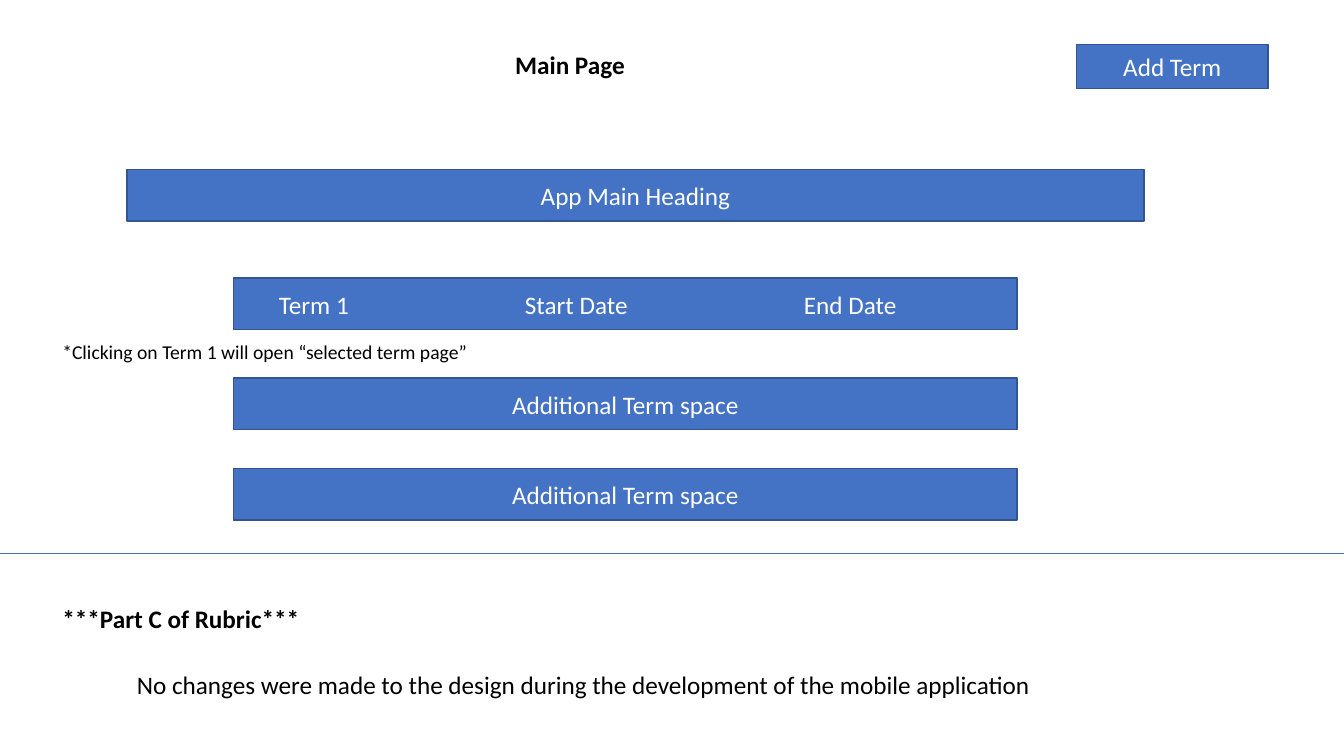
from collections import namedtuple

from lxml.etree import SubElement
from pptx import Presentation
from pptx.dml.color import RGBColor
from pptx.enum.shapes import MSO_CONNECTOR, MSO_SHAPE
from pptx.enum.text import MSO_ANCHOR, MSO_AUTO_SIZE, PP_ALIGN
from pptx.oxml.ns import qn
from pptx.util import Cm, Pt

COLORS = {"bar": "4472C4", "edge": "325491", "light": "FFFFFF", "dark": "000000"}
FONT = "Calibri"
PAGE_WIDTH, PAGE_HEIGHT = 33.87, 19.05
BAR_HEIGHT = 1.3
TEXT_HEIGHT = 1.02

Box = namedtuple("Box", "left top width height")


def color(name):
    return RGBColor.from_string(COLORS[name])


def lengths(box):
    return [Cm(value) for value in box]


def write(frame, text, color_name, size=18, bold=False, align=PP_ALIGN.LEFT):
    frame.text = text
    para = frame.paragraphs[0]
    para.alignment = align
    for span in para.runs:
        span.font.name = FONT
        span.font.size = Pt(size)
        span.font.bold = bold
        span.font.color.rgb = color(color_name)


def add_bar(page, box, text, align=PP_ALIGN.CENTER):
    bar = page.shapes.add_shape(MSO_SHAPE.RECTANGLE, *lengths(box))
    bar.shadow.inherit = False
    bar.fill.solid()
    bar.fill.fore_color.rgb = color("bar")
    bar.line.color.rgb = color("edge")
    bar.line.width = Pt(1)
    bar.text_frame.word_wrap = True
    bar.text_frame.vertical_anchor = MSO_ANCHOR.MIDDLE
    write(bar.text_frame, text, "light", align=align)
    return bar


def add_label(page, box, text, wrap=True, **style):
    frame = page.shapes.add_textbox(*lengths(box)).text_frame
    frame.word_wrap = wrap
    frame.auto_size = MSO_AUTO_SIZE.SHAPE_TO_FIT_TEXT
    write(frame, text, "dark", **style)


def add_column_bar(page, box, columns, indent, stops):
    bar = add_bar(page, box, "\t".join(columns), PP_ALIGN.LEFT)
    bar.text_frame.margin_left = Cm(indent)
    properties = bar.text_frame.paragraphs[0]._p.get_or_add_pPr()
    tabs = SubElement(properties, qn("a:tabLst"))
    for stop in stops:
        SubElement(tabs, qn("a:tab"), pos=str(Cm(stop)), algn="l")


def add_header(page, box):
    add_label(page, Box(box.left, box.top, 20.09, TEXT_HEIGHT), "Main Page",
              bold=True, align=PP_ALIGN.CENTER)
    button_width = 4.83
    button_left = box.left + box.width - button_width
    add_bar(page, Box(button_left, box.top, button_width, box.height), "Add Term")


def add_term_list(page, box):
    add_bar(page, Box(box.left, box.top, box.width, BAR_HEIGHT), "App Main Heading")
    term = Box(box.left + 2.69, box.top + 2.74, 19.74, BAR_HEIGHT)
    add_column_bar(page, term, ["Term 1", "Start Date", "End Date"], 1.14, [6.2, 13.23])
    add_label(page, Box(box.left - 1.88, term.top + 1.42, 16, 0.86),
              "*Clicking on Term 1 will open “selected term page”", size=14)
    pitch = 2.28
    first_top = box.top + box.height - BAR_HEIGHT - pitch
    for row in range(2):
        add_bar(page, term._replace(top=first_top + row * pitch), "Additional Term space")


def add_divider(page, top):
    line = page.shapes.add_connector(
        MSO_CONNECTOR.STRAIGHT, Cm(PAGE_WIDTH), Cm(top), Cm(0), Cm(top))
    line.line.color.rgb = color("bar")
    line.line.width = Pt(0.5)
    SubElement(line._element.spPr, qn("a:effectLst"))


def add_rubric(page, box):
    add_label(page, Box(box.left, box.top, 6.55, TEXT_HEIGHT),
              "***Part C of Rubric***", wrap=False, bold=True)
    indent = 1.88
    add_label(page, Box(box.left + indent, box.top + box.height - TEXT_HEIGHT,
                        box.width - indent, TEXT_HEIGHT),
              "No changes were made to the design during the development "
              "of the mobile application", wrap=False)


def main():
    deck = Presentation()
    deck.slide_width = Cm(PAGE_WIDTH)
    deck.slide_height = Cm(PAGE_HEIGHT)
    page = deck.slides.add_slide(deck.slide_layouts[6])
    add_header(page, Box(4.32, 1.13, 27.64, 1.1))
    add_term_list(page, Box(3.2, 4.27, 25.63, 8.84))
    add_divider(page, 13.94)
    add_rubric(page, Box(1.32, 15.09, 25.35, 2.67))
    deck.save("out.pptx")


if __name__ == "__main__":
    main()
